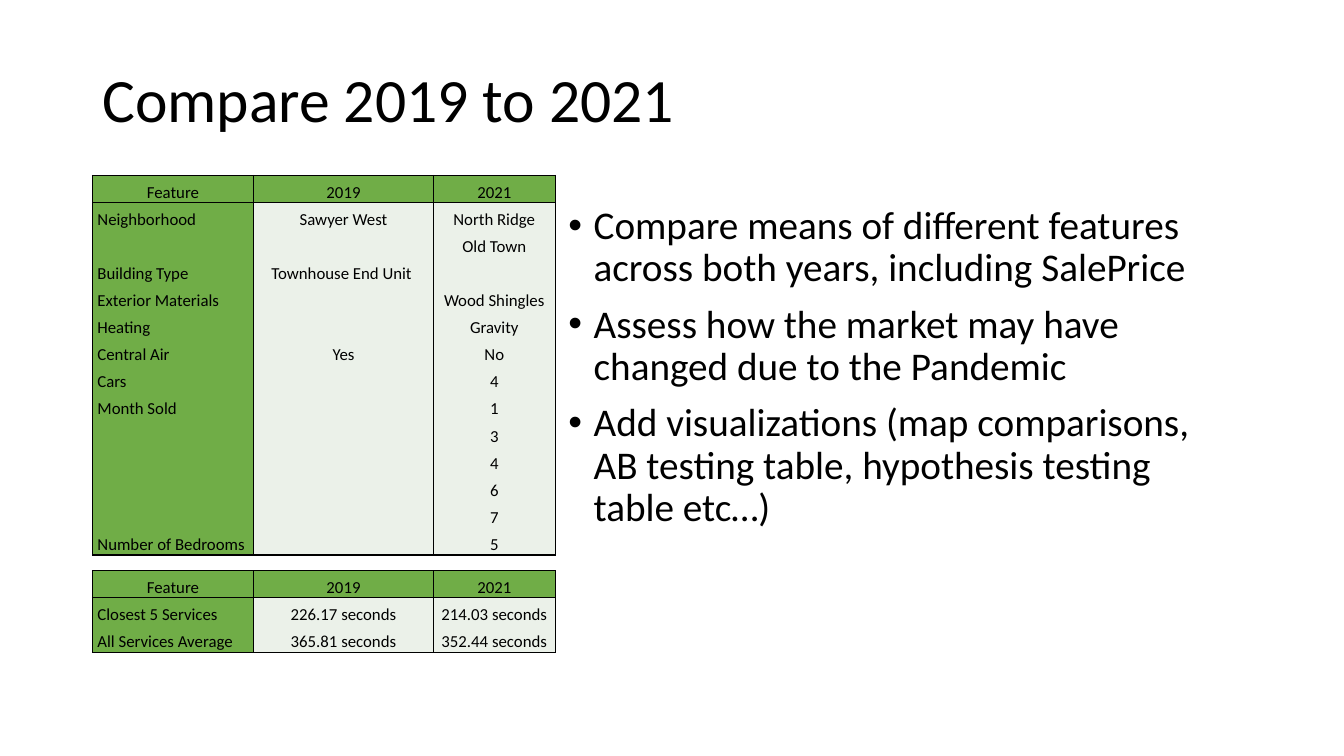
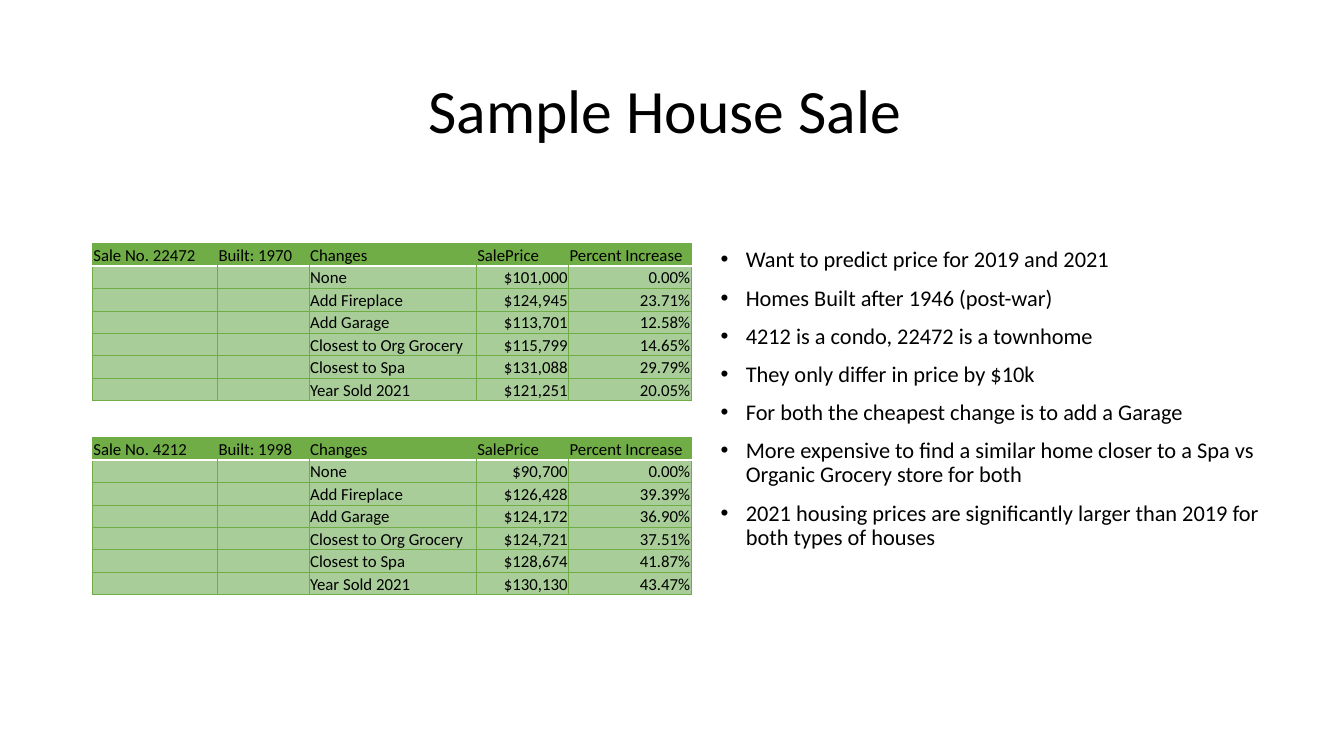
from lxml import etree
from pptx import Presentation
from pptx import util as u
from pptx.dml.color import RGBColor
from pptx.enum import text
from pptx.oxml.ns import qn

WIDTH, HEIGHT = u.Inches(13.33), u.Inches(7.5)
COLS, ROWS = 160, 90
LEFT = 11
TITLE_SIZE = (138, 17.4)
FONT = "Calibri"
C = {"text": "000000", "green": "70AD47", "pale": "EBF1E9",
     "light": "A9CD99", "white": "FFFFFF"}
NO_STYLE = "{2D5ABB26-0587-4C30-8999-92F81FD0307C}"
AL = text.PP_ALIGN
PARA = {"line_spacing": 0.9}
BULLET = {**PARA, "space_before": u.Pt(10)}

MARKET_COLS = (19.2, 21.4, 14.5)
MARKET_HEAD = ("Feature", "2019", "2021")
FEATURES = [
    ("Neighborhood", "Sawyer West", "North Ridge"),
    ("", "", "Old Town"),
    ("Building Type", "Townhouse End Unit ", ""),
    ("Exterior Materials", "", "Wood Shingles"),
    ("Heating", "", "Gravity"),
    ("Central Air", "Yes", "No"),
    ("Cars", "", "4"),
    ("Month Sold", "", "1"),
    ("", "", "3"),
    ("", "", "4"),
    ("", "", "6"),
    ("", "", "7"),
    ("Number of Bedrooms", "", "5"),
]
SERVICES = [
    ("Closest 5 Services", "226.17 seconds", "214.03 seconds"),
    ("All Services Average", "365.81 seconds", "352.44 seconds"),
]
GOALS = [
    "Compare means of different features across both years, including SalePrice",
    "Assess how the market may have changed due to the Pandemic",
    "Add visualizations (map comparisons, AB testing table, hypothesis testing table etc…)",
]

SALE_COLS = (14.9, 10.9, 19.9, 11, 14.6)
SALE_HEAD = ("Changes", "SalePrice", "Percent Increase")
CHANGES = ("None", "Add Fireplace", "Add Garage", "Closest to Org Grocery",
           "Closest to Spa", "Year Sold 2021")
SALES = [
    (29, "Sale No. 22472", "Built: 1970",
     ("$101,000", "$124,945", "$113,701", "$115,799", "$131,088", "$121,251"),
     ("0.00%", "23.71%", "12.58%", "14.65%", "29.79%", "20.05%")),
    (52.1, "Sale No. 4212", "Built: 1998",
     ("$90,700", "$126,428", "$124,172", "$124,721", "$128,674", "$130,130"),
     ("0.00%", "39.39%", "36.90%", "37.51%", "41.87%", "43.47%")),
]
FINDINGS = [
    "Want to predict price for 2019 and 2021",
    "Homes Built after 1946 (post-war)",
    "4212 is a condo, 22472 is a townhome",
    "They only differ in price by $10k",
    "For both the cheapest change is to add a Garage",
    "More expensive to find a similar home closer to a Spa vs Organic Grocery store for both",
    "2021 housing prices are significantly larger than 2019 for both types of houses",
]


def gx(n):
    return round(WIDTH * n / COLS)


def gy(n):
    return round(HEIGHT * n / ROWS)


def apply(obj, fmt):
    for name, value in fmt.items():
        setattr(obj, name, value)


def add_run(p, words, size):
    r = p.add_run()
    r.text = words
    apply(r.font, {"size": u.Pt(size), "name": FONT})
    r.font.color.rgb = RGBColor.from_string(C["text"])


def add_box(s, x, y, w, h, anchor):
    tf = s.shapes.add_textbox(gx(x), gy(y), gx(w), gy(h)).text_frame
    apply(tf, {"word_wrap": True, "vertical_anchor": anchor})
    return tf


def add_title(s, words, y, align):
    tf = add_box(s, LEFT, y, *TITLE_SIZE, text.MSO_ANCHOR.MIDDLE)
    p = tf.paragraphs[0]
    apply(p, {**PARA, "alignment": align})
    add_run(p, words, 44)


def add_bullets(s, items, x, y, w, h, size):
    tf = add_box(s, x, y, w, h, text.MSO_ANCHOR.TOP)
    for i, item in enumerate(items):
        p = tf.add_paragraph() if i else tf.paragraphs[0]
        apply(p, BULLET)
        pPr = p._p.get_or_add_pPr()
        pPr.set("marL", str(u.Inches(0.25)))
        pPr.set("indent", str(-u.Inches(0.25)))
        etree.SubElement(pPr, qn("a:buFont")).set("typeface", "Arial")
        etree.SubElement(pPr, qn("a:buChar")).set("char", "•")
        add_run(p, item, size)


def set_borders(cell, edges):
    tcPr = cell._tc.get_or_add_tcPr()
    for side in "LRTB":
        if side in edges:
            color, width = edges[side]
            ln = etree.SubElement(tcPr, qn(f"a:ln{side}"), w=str(u.Pt(width)))
            fill = etree.SubElement(ln, qn("a:solidFill"))
            etree.SubElement(fill, qn("a:srgbClr"), val=C[color])


def fill_cell(cell, words, inset, look):
    apply(cell, {"margin_left": u.Inches(inset), "margin_right": u.Inches(inset),
                 "margin_top": u.Inches(0.01), "margin_bottom": 0,
                 "vertical_anchor": text.MSO_ANCHOR.BOTTOM})
    set_borders(cell, look["edges"])
    cell.fill.solid()
    cell.fill.fore_color.rgb = RGBColor.from_string(C[look["fill"]])
    p = cell.text_frame.paragraphs[0]
    p.alignment = look["align"]
    if words:
        add_run(p, words, 12)
    else:
        etree.SubElement(p._p, qn("a:endParaRPr")).set("sz", "1200")


def add_grid(s, rows, y, widths, row_h, inset, style):
    n, m = len(rows), len(widths)
    gf = s.shapes.add_table(n, m, gx(LEFT), gy(y), gx(sum(widths)), gy(row_h * n))
    tbl = gf.table
    apply(tbl, {"first_row": False, "horz_banding": False})
    tbl._tbl.tblPr.find(qn("a:tableStyleId")).text = NO_STYLE
    for col, w in zip(tbl.columns, widths):
        col.width = gx(w)
    for i, row in enumerate(rows):
        tbl.rows[i].height = gy(row_h)
        for j, words in enumerate(row):
            fill_cell(tbl.cell(i, j), words, inset, style(i, j, n, m))


def market_style(i, j, n, m):
    line = ("text", 1)
    edges = {"L": line, "R": line}
    if i == 0:
        edges["T"] = line
    if i in (0, n - 1):
        edges["B"] = line
    return {"fill": "green" if i == 0 or j == 0 else "pale", "edges": edges,
            "align": AL.LEFT if i and j == 0 else AL.CENTER}


def sale_style(i, j, n, m):
    line = ("green", 0.5)
    if i:
        return {"fill": "light", "edges": dict.fromkeys("LRB", line),
                "align": AL.RIGHT if j > 2 else AL.LEFT}
    edges = {"T": line, "B": ("white", 1)}
    if j == 0:
        edges["L"] = line
    if j == m - 1:
        edges["R"] = line
    return {"fill": "green", "edges": edges, "align": AL.LEFT}


def compare_slide(s):
    add_title(s, "Compare 2019 to 2021", 3.5, AL.LEFT)
    add_bullets(s, GOALS, 66.5, 23.9, 79.2, 57.1, 28)
    for y, rows in ((20.9, FEATURES), (67.95, SERVICES)):
        add_grid(s, [MARKET_HEAD, *rows], y, MARKET_COLS, 3.23, 0.05, market_style)


def sale_slide(s):
    add_title(s, "Sample House Sale ", 4.8, AL.CENTER)
    add_bullets(s, FINDINGS, 84.6, 29, 67.9, 41.8, 16)
    for y, sale, built, prices, gains in SALES:
        rows = [(sale, built, *SALE_HEAD)]
        rows += [("", "", *row) for row in zip(CHANGES, prices, gains)]
        add_grid(s, rows, y, SALE_COLS, 2.67, 0.01, sale_style)


def main():
    prs = Presentation()
    apply(prs, {"slide_width": WIDTH, "slide_height": HEIGHT})
    for build in (compare_slide, sale_slide):
        build(prs.slides.add_slide(prs.slide_layouts[6]))
    prs.save("out.pptx")


if __name__ == "__main__":
    main()
